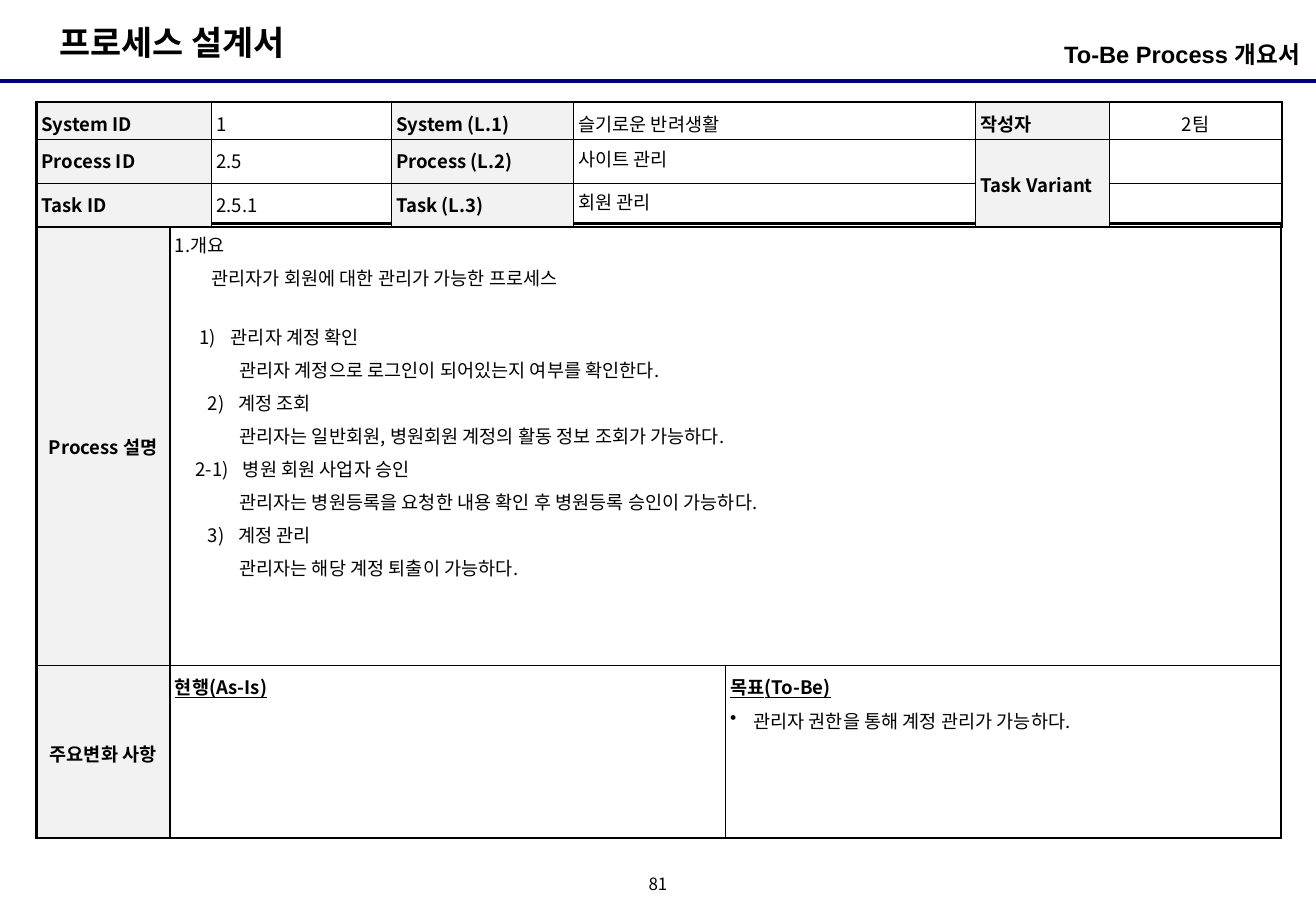
from dataclasses import dataclass

from lxml.etree import SubElement
from pptx import Presentation
from pptx.dml.color import RGBColor
from pptx.enum.shapes import MSO_CONNECTOR
from pptx.enum.text import MSO_ANCHOR, MSO_AUTO_SIZE, PP_ALIGN
from pptx.oxml.ns import qn
from pptx.util import Inches, Pt


@dataclass(frozen=True)
class Theme:
    ink: str = "000000"
    rule: str = "000080"
    label_fill: str = "F2F2F2"
    paper: str = "FFFFFF"
    heading_font: str = "Arial"
    body_font: str = "Noto Sans CJK KR"
    title_size: float = 20
    subtitle_size: float = 14
    body_size: float = 11
    number_size: float = 10
    outer_line: float = 1.5
    inner_line: float = 1
    leading: float = 1.1


THEME = Theme()
NO_STYLE_NO_GRID = "{2D5ABB26-0587-4C30-8999-92F81FD0307C}"
SLIDE_WIDTH, SLIDE_HEIGHT = 10.83, 7.5
TABLE_LEFT = 0.3
CELL_INSET = 0.04

TITLE = "프로세스 설계서"
SUBTITLE = "To-Be Process 개요서"
PAGE_NUMBER = "81"

HEADER_TOP = 0.84
HEADER_COLUMNS = [1.44, 1.48, 1.5, 3.31, 1.1, 1.42]
HEADER_ROWS = [0.31, 0.36, 0.36]
HEADER_TEXT = [
    ["System ID", "1", "System (L.1)", "슬기로운 반려생활", "작성자", "2팀"],
    ["Process ID", "2.5", "Process (L.2)", "사이트 관리", "Task Variant", ""],
    ["Task ID", "2.5.1", "Task (L.3)", "회원 관리", "", ""],
]
SINGLE_SPACED = {"사이트 관리", "회원 관리"}

DETAIL_TOP = 1.84
DETAIL_COLUMNS = [1.1, 4.57, 4.57]
DETAIL_ROWS = [3.64, 1.42]
# text, text indent, label indent, space before in points
DESCRIPTION = [
    ("1.개요", 0, 0, 0),
    ("관리자가 회원에 대한 관리가 가능한 프로세스", 0.3, 0.3, 2),
    ("1)\t관리자 계정 확인", 0.46, 0.2, 17.5),
    ("관리자 계정으로 로그인이 되어있는지 여부를 확인한다.", 0.53, 0.53, 2),
    ("2)\t계정 조회", 0.52, 0.27, 2),
    ("관리자는 일반회원, 병원회원 계정의 활동 정보 조회가 가능하다.", 0.53, 0.53, 2),
    ("2-1)\t병원 회원 사업자 승인", 0.56, 0.17, 2),
    ("관리자는 병원등록을 요청한 내용 확인 후 병원등록 승인이 가능하다.", 0.53, 0.53, 2),
    ("3)\t계정 관리", 0.52, 0.27, 2),
    ("관리자는 해당 계정 퇴출이 가능하다.", 0.53, 0.53, 2),
]
ROW_LABELS = ["Process 설명", "주요변화 사항"]
AS_IS = "현행(As-Is)"
TO_BE = "목표(To-Be)"
TO_BE_POINT = "관리자 권한을 통해 계정 관리가 가능하다."


def write(paragraph, text, size=THEME.body_size, family=THEME.body_font, bold=False,
          underline=False, align=PP_ALIGN.LEFT, leading=THEME.leading):
    paragraph.text = text
    paragraph.alignment = align
    paragraph.line_spacing = leading
    font = paragraph.font
    font.size, font.name = Pt(size), family
    font.bold, font.underline = bold, underline
    font.color.rgb = RGBColor.from_string(THEME.ink)
    defaults = paragraph._p.pPr.find(qn("a:defRPr"))
    SubElement(defaults, qn("a:ea"), typeface=THEME.body_font)


def indent(paragraph, text_at, label_at, bullet=None):
    properties = paragraph._p.get_or_add_pPr()
    properties.set("marL", str(Inches(text_at)))
    properties.set("indent", str(Inches(label_at) - Inches(text_at)))
    if bullet:
        SubElement(properties, qn("a:buChar"), char=bullet)


def set_insets(target, horizontal, vertical):
    target.margin_left = target.margin_right = Inches(horizontal)
    target.margin_top = target.margin_bottom = Inches(vertical)


def add_text(page, text, frame, anchor, insets, **style):
    box = page.shapes.add_textbox(*map(Inches, frame))
    box.text_frame.word_wrap = True
    box.text_frame.vertical_anchor = anchor
    set_insets(box.text_frame, *insets)
    write(box.text_frame.paragraphs[0], text, **style)


def add_grid(page, top, columns, rows, merges):
    """Add a bare table whose outer edges are heavier than its inner ones."""
    frame = page.shapes.add_table(len(rows), len(columns), Inches(TABLE_LEFT), Inches(top),
                                  Inches(sum(columns)), Inches(sum(rows)))
    table = frame.table
    table.first_row = table.horz_banding = False
    table._tbl.tblPr.find(qn("a:tableStyleId")).text = NO_STYLE_NO_GRID
    for column, width in zip(table.columns, columns):
        column.width = Inches(width)
    for row, height in zip(table.rows, rows):
        row.height = Inches(height)
    for first, last in merges:
        table.cell(*first).merge(table.cell(*last))
    for r in range(len(rows)):
        for c in range(len(columns)):
            cell = table.cell(r, c)
            set_insets(cell, CELL_INSET, CELL_INSET)
            if not cell.is_spanned:
                outer = {"L": c == 0, "R": c + cell.span_width == len(columns),
                         "T": r == 0, "B": r + cell.span_height == len(rows)}
                draw_borders(cell, outer)
    return table


def draw_borders(cell, outer):
    properties = cell._tc.get_or_add_tcPr()
    for side, is_outer in outer.items():
        width = THEME.outer_line if is_outer else THEME.inner_line
        line = SubElement(properties, qn(f"a:ln{side}"), w=str(Pt(width)))
        fill = SubElement(line, qn("a:solidFill"))
        SubElement(fill, qn("a:srgbClr"), val=THEME.ink)


def fill_cell(cell, color):
    cell.fill.solid()
    cell.fill.fore_color.rgb = RGBColor.from_string(color)


def add_header_table(page):
    table = add_grid(page, HEADER_TOP, HEADER_COLUMNS, HEADER_ROWS, [((1, 4), (2, 4))])
    for r, texts in enumerate(HEADER_TEXT):
        for c, text in enumerate(texts):
            cell = table.cell(r, c)
            is_label = c % 2 == 0
            if is_label:
                fill_cell(cell, THEME.label_fill)
            else:
                cell.fill.background()
            cell.vertical_anchor = MSO_ANCHOR.MIDDLE if c >= 4 else MSO_ANCHOR.TOP
            write(cell.text_frame.paragraphs[0], text, bold=is_label,
                  align=PP_ALIGN.CENTER if c == 5 else PP_ALIGN.LEFT,
                  leading=1.0 if text in SINGLE_SPACED else THEME.leading)


def add_detail_table(page):
    table = add_grid(page, DETAIL_TOP, DETAIL_COLUMNS, DETAIL_ROWS, [((0, 1), (0, 2))])
    for r, label in enumerate(ROW_LABELS):
        cell = table.cell(r, 0)
        fill_cell(cell, THEME.label_fill)
        cell.vertical_anchor = MSO_ANCHOR.MIDDLE
        write(cell.text_frame.paragraphs[0], label, bold=True, align=PP_ALIGN.CENTER)
        for c in (1, 2):
            fill_cell(table.cell(r, c), THEME.paper)

    description = table.cell(0, 1).text_frame
    for number, (text, text_at, label_at, before) in enumerate(DESCRIPTION):
        paragraph = description.add_paragraph() if number else description.paragraphs[0]
        indent(paragraph, text_at, label_at)
        write(paragraph, text)
        if before:
            paragraph.space_before = Pt(before)

    for c, heading in enumerate((AS_IS, TO_BE), start=1):
        write(table.cell(1, c).text_frame.paragraphs[0], heading, bold=True, underline=True)
    point = table.cell(1, 2).text_frame.add_paragraph()
    indent(point, 0.19, 0, bullet="•")
    write(point, TO_BE_POINT)
    point.space_before = Pt(2.2)


def main():
    deck = Presentation()
    deck.slide_width, deck.slide_height = Inches(SLIDE_WIDTH), Inches(SLIDE_HEIGHT)
    page = deck.slides.add_slide(deck.slide_layouts[5])

    title = page.shapes.title
    title.left, title.top, title.width, title.height = map(Inches, (0.39, 0.13, 2.26, 0.44))
    title.text_frame.auto_size = MSO_AUTO_SIZE.NONE
    title.text_frame.vertical_anchor = MSO_ANCHOR.MIDDLE
    set_insets(title.text_frame, 0.1, 0.05)
    write(title.text_frame.paragraphs[0], TITLE, size=THEME.title_size,
          family=THEME.heading_font, bold=True, leading=1.0)

    rule = page.shapes.add_connector(MSO_CONNECTOR.STRAIGHT, 0, Inches(0.67),
                                     Inches(SLIDE_WIDTH), Inches(0.67))
    rule.line.color.rgb = RGBColor.from_string(THEME.rule)
    rule.line.width = Pt(2.25)
    SubElement(rule._element.spPr, qn("a:effectLst"))

    add_text(page, PAGE_NUMBER, (5.25, 7.17, 0.33, 0.25), MSO_ANCHOR.MIDDLE, (0, 0),
             size=THEME.number_size, align=PP_ALIGN.CENTER, leading=0.8)
    add_detail_table(page)
    add_text(page, SUBTITLE, (7.39, 0.28, 3.31, 0.39), MSO_ANCHOR.TOP, (0, 0.05),
             size=THEME.subtitle_size, family=THEME.heading_font, bold=True,
             align=PP_ALIGN.RIGHT, leading=1.0)
    add_header_table(page)
    deck.save("out.pptx")


if __name__ == "__main__":
    main()
